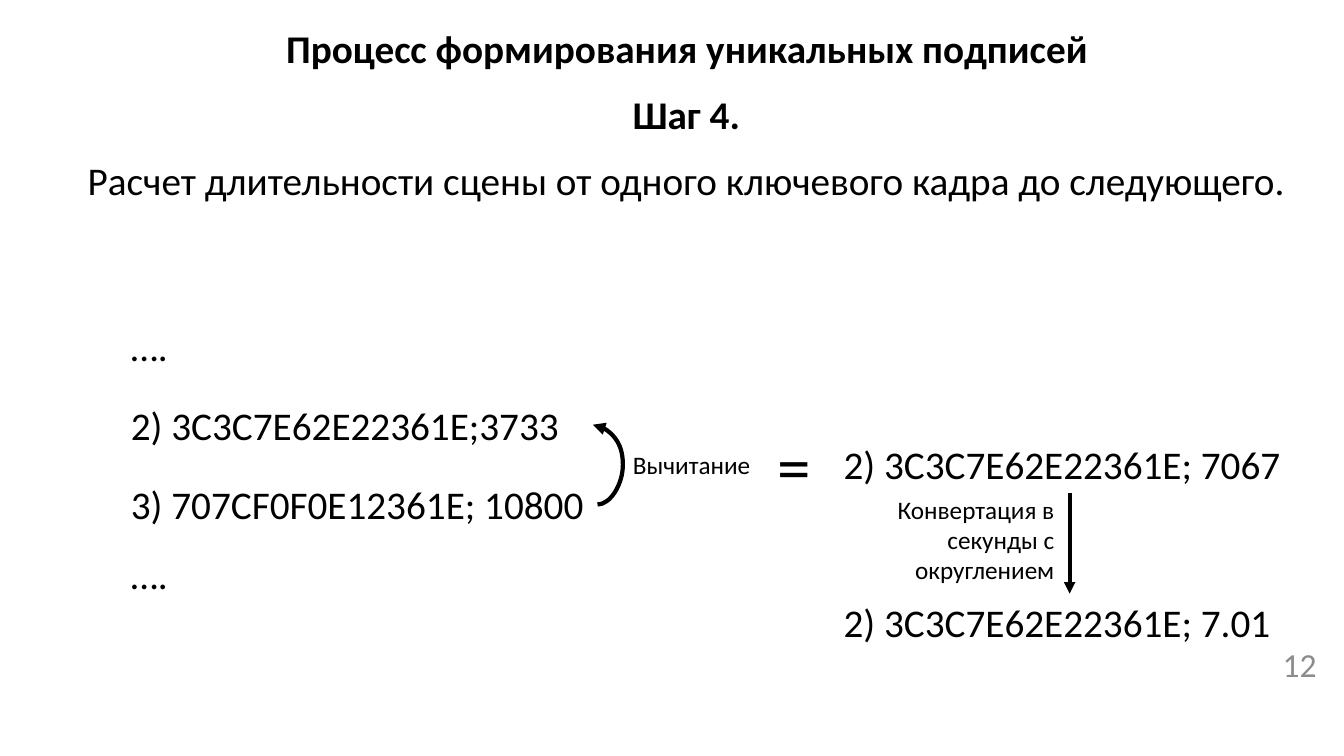
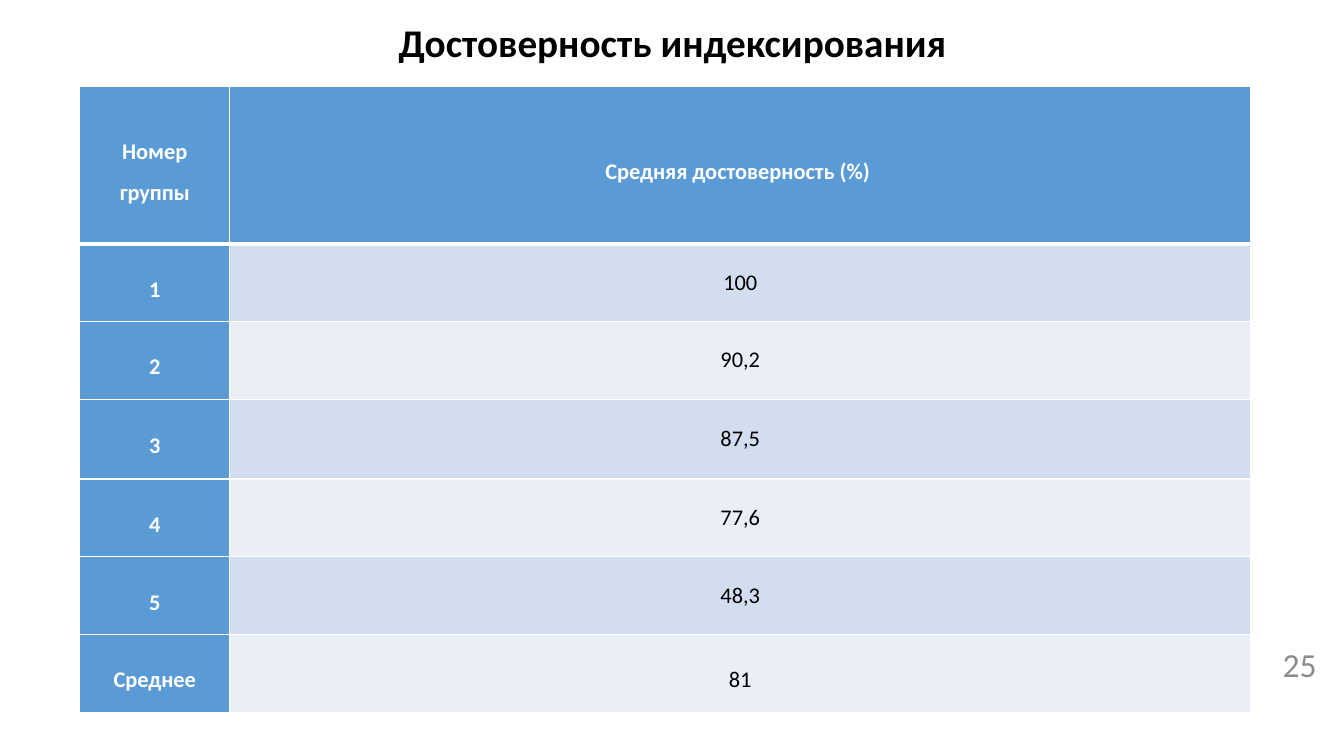
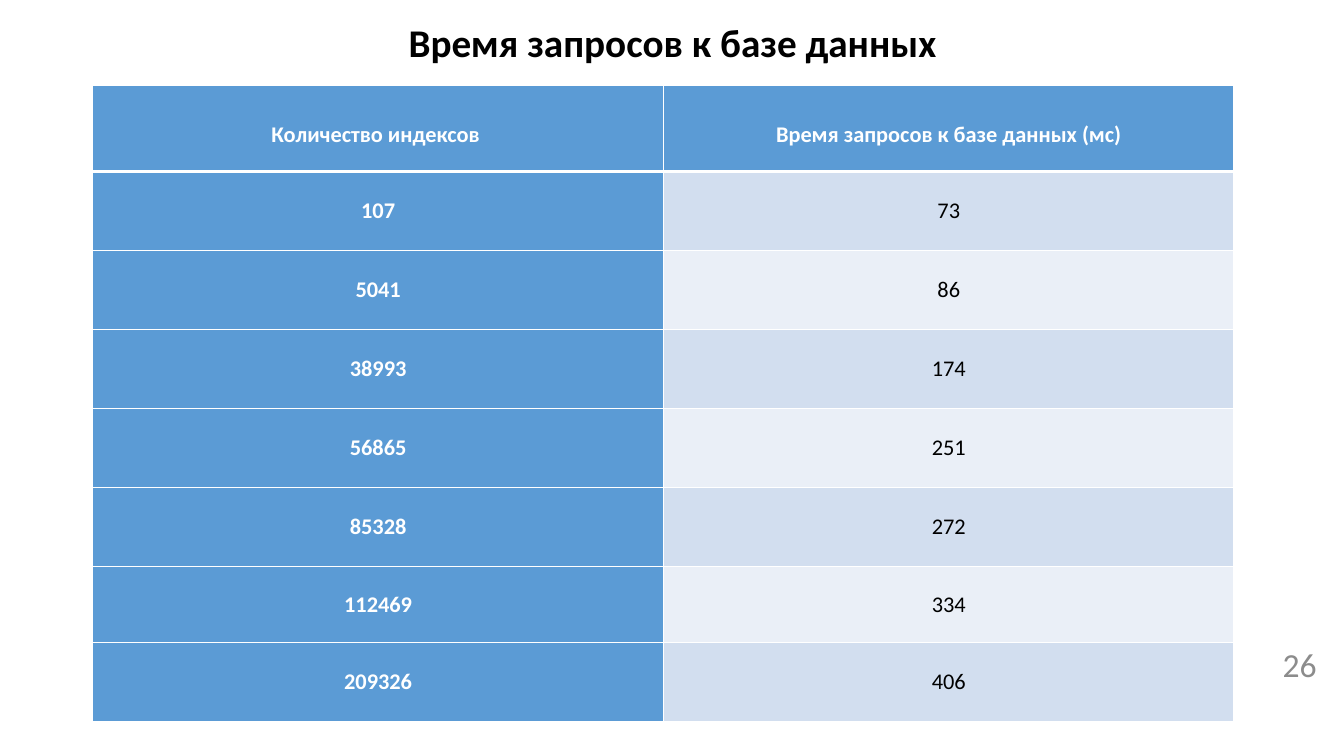
from dataclasses import dataclass

from lxml.etree import SubElement
from pptx import Presentation
from pptx.dml.color import RGBColor as Rgb
from pptx.enum.shapes import MSO_CONNECTOR as Connector
from pptx.enum.text import MSO_ANCHOR as Anchor, PP_ALIGN as Align
from pptx.oxml.ns import qn
from pptx.util import Cm, Pt


@dataclass(frozen=True)
class Theme:
    font: str = "Calibri"
    ink: Rgb = Rgb(0x00, 0x00, 0x00)
    white: Rgb = Rgb(0xFF, 0xFF, 0xFF)
    muted: Rgb = Rgb(0x8C, 0x8C, 0x8C)
    accent: Rgb = Rgb(0x5B, 0x9B, 0xD5)
    band_dark: Rgb = Rgb(0xD2, 0xDE, 0xEF)
    band_light: Rgb = Rgb(0xEA, 0xEF, 0xF7)
    main: int = 28
    number: int = 24
    label: int = 18
    cell: int = 16
    sign: int = 48


THEME = Theme()
TITLE_BOX = (2.34, -0.71, 29.21, 3.68)
RIGHT, BOTTOM, TOP = 3, 2, 0  # connection sites


# Text
def write(frame, text, size=THEME.main, color=THEME.ink, bold=False,
          align=Align.LEFT, spacing=None):
    paragraph = frame.paragraphs[0]
    paragraph.alignment = align
    if spacing:
        paragraph.line_spacing = spacing
    run = paragraph.add_run()
    run.text = text
    font = run.font
    font.name, font.size, font.bold = THEME.font, Pt(size), bold
    font.color.rgb = color
    return paragraph


def label(slide, box, text, anchor=Anchor.TOP, **style):
    shape = slide.shapes.add_textbox(*map(Cm, box))
    shape.text_frame.word_wrap = True
    shape.text_frame.vertical_anchor = anchor
    write(shape.text_frame, text, **style)
    return shape


def heading(slide, text, box=TITLE_BOX):
    label(slide, box, text, Anchor.MIDDLE, bold=True, align=Align.CENTER,
          spacing=0.9)


def new_slide(deck, number):
    slide = deck.slides.add_slide(deck.slide_layouts[6])
    label(slide, (25.81, 16.23, 7.62, 1.02), number, Anchor.MIDDLE,
          size=THEME.number, color=THEME.muted, align=Align.RIGHT)
    return slide


# Arrows
def arrow(slide, kind, start, start_site, end, end_site, width):
    link = slide.shapes.add_connector(kind, 0, 0, 0, 0)
    link.begin_connect(start, start_site)
    link.end_connect(end, end_site)
    link.line.color.rgb = THEME.ink
    link.line.width = Pt(width)
    SubElement(link.line._get_or_add_ln(), qn("a:tailEnd"), type="triangle")
    SubElement(link._element.spPr, qn("a:effectLst"))
    return link


def bend(link, bulge):
    """Push the curve out beyond its starting point."""
    ratio = round(-100000 * Cm(bulge) / link.width)
    guides = link._element.spPr.find(qn("a:prstGeom")).find(qn("a:avLst"))
    SubElement(guides, qn("a:gd"), name="adj1", fmla=f"val {ratio}")


# Tables
def border(cell, top, bottom):
    properties = cell._tc.get_or_add_tcPr()
    edges = (("a:lnL", 1), ("a:lnR", 1), ("a:lnT", top), ("a:lnB", bottom))
    for position, (tag, width) in enumerate(edges):
        line = SubElement(properties, qn(tag), w=str(Pt(width)))
        fill = SubElement(line, qn("a:solidFill"))
        SubElement(fill, qn("a:srgbClr"), val=str(THEME.white))
        properties.insert(position, line)


def data_table(slide, left, top, widths, heights, rows, is_loose):
    table = slide.shapes.add_table(
        len(rows), len(widths), Cm(left), Cm(top),
        Cm(sum(widths)), Cm(sum(heights))).table
    for column, width in zip(table.columns, widths):
        column.width = Cm(width)
    for r, (height, values) in enumerate(zip(heights, rows)):
        table.rows[r].height = Cm(height)
        for c, value in enumerate(values):
            cell = table.cell(r, c)
            is_header = r == 0 or c == 0
            band = THEME.band_dark if r % 2 else THEME.band_light
            cell.fill.solid()
            cell.fill.fore_color.rgb = THEME.accent if is_header else band
            border(cell, 3 if r == 1 else 1, 3 if r == 0 else 1)
            cell.vertical_anchor = Anchor.MIDDLE
            cell.margin_left = cell.margin_right = Cm(0.18)
            cell.margin_top = cell.margin_bottom = 0
            write(cell.text_frame, value, THEME.cell,
                  THEME.white if is_header else THEME.ink, is_header,
                  Align.CENTER, 1.5 if is_loose(r, c) else None)


# Slides
def duration_slide(deck):
    slide = new_slide(deck, "12")
    heading(slide, "Процесс формирования уникальных подписей",
            (2.08, -0.56, 30.45, 3.68))
    heading(slide, "Шаг 4.", (2.41, 1.8, 29.77, 2.31))
    task = label(slide, (1.96, 3.94, 30.73, 1.6),
                 "Расчет длительности сцены от одного ключевого кадра "
                 "до следующего.", spacing=0.9)
    task.text_frame.paragraphs[0].space_before = Pt(10)

    # Key frames and their difference
    frames = ((8, 11.89, "…."),
              (9.98, 11.89, "2) 3C3C7E62E22361E;3733"),
              (11.99, 12.01, "3) 707СF0F0E12361E; 10800"),
              (13.74, 11.89, "…."))
    _, current, following, _ = [
        label(slide, (3.05, top, width, 1.45), text)
        for top, width, text in frames]
    subtraction = arrow(slide, Connector.CURVE, following, RIGHT,
                        current, RIGHT, 3)
    bend(subtraction, 0.64)
    label(slide, (15.7, 11.2, 3.94, 1.02), "Вычитание", size=THEME.label)
    label(slide, (19.35, 10.57, 3.94, 2.31), "=", size=THEME.sign)

    # Conversion of the result
    milliseconds, seconds = [
        label(slide, (21.01, top, 11.89, 1.45), text)
        for top, text in ((10.98, "2) 3C3C7E62E22361E; 7067"),
                          (14.96, "2) 3C3C7E62E22361E; 7.01"))]
    arrow(slide, Connector.STRAIGHT, milliseconds, BOTTOM, seconds, TOP, 2.75)
    label(slide, (20.8, 12.32, 6.02, 2.57),
          "Конвертация в секунды с округлением", size=THEME.label,
          align=Align.RIGHT)


def accuracy_slide(deck):
    slide = new_slide(deck, "25")
    heading(slide, "Достоверность индексирования")
    rows = (("Номер группы", "Средняя достоверность (%) "),
            ("1", "100"), ("2", "90,2"), ("3", "87,5"),
            ("4", "77,6"), ("5", "48,3"), ("Среднее", "81"))
    heights = [3.96, 1.96, 1.96, 2.01] + [1.96] * 3
    data_table(slide, 2.01, 2.18, (3.78, 25.73), heights, rows,
               lambda r, c: c == 0 or r in (0, len(rows) - 1))


def timing_slide(deck):
    slide = new_slide(deck, "26")
    heading(slide, "Время запросов к базе данных")
    rows = (("Количество индексов ", "Время запросов к базе данных (мс)"),
            ("107", "73"), ("5041", "86"), ("38993", "174"),
            ("56865", "251"), ("85328", "272"), ("112469", "334"),
            ("209326", "406"))
    heights = [2.18] + [1.99] * 5 + [1.92, 1.99]
    data_table(slide, 2.34, 2.14, (14.38, 14.38), heights, rows,
               lambda r, c: r == 0)


def main():
    deck = Presentation()
    deck.slide_width, deck.slide_height = Cm(33.87), Cm(19.05)
    duration_slide(deck)
    accuracy_slide(deck)
    timing_slide(deck)
    deck.save("out.pptx")


if __name__ == "__main__":
    main()
